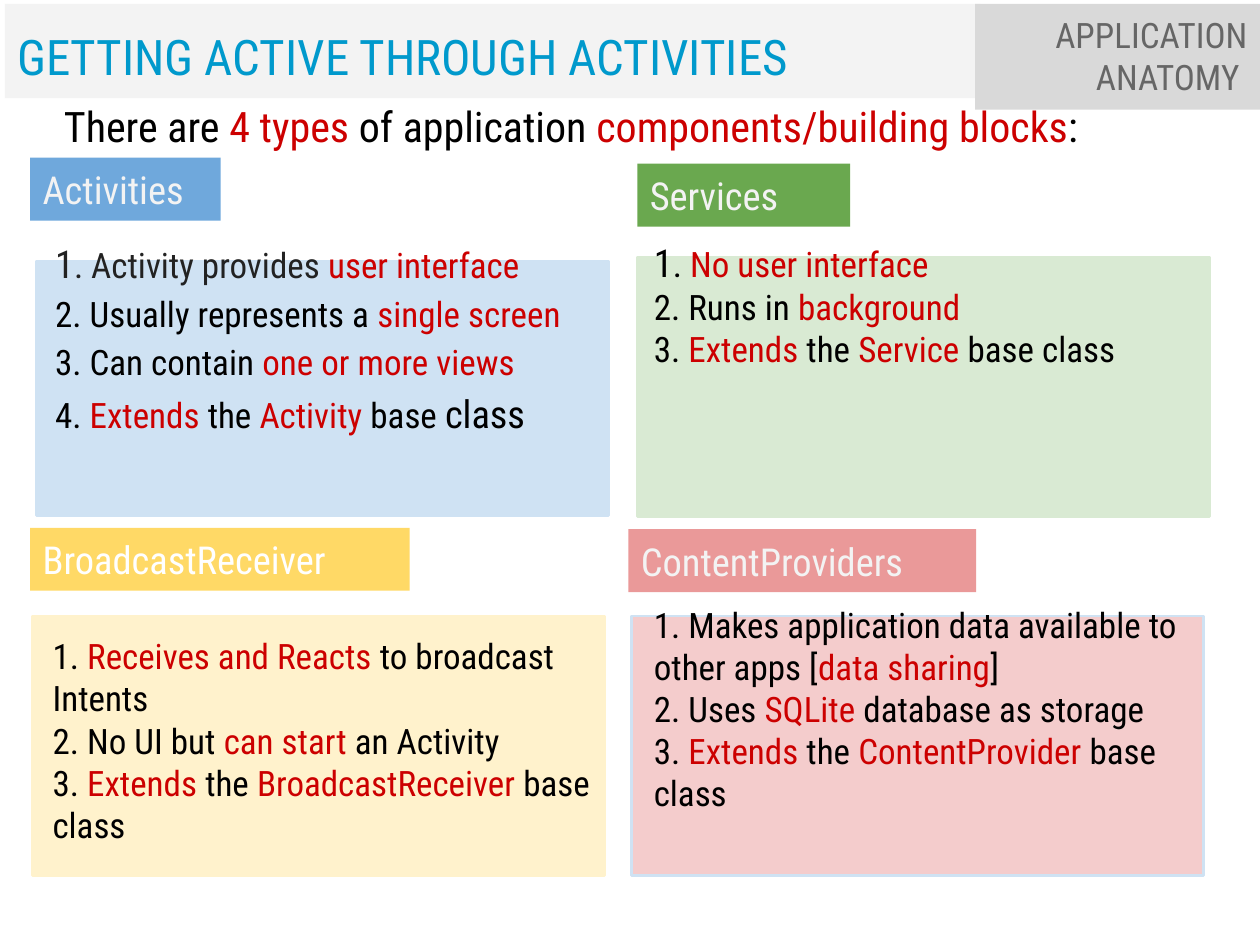
from pptx import Presentation
from pptx.dml.color import RGBColor
from pptx.enum.shapes import MSO_SHAPE as Preset
from pptx.enum.text import MSO_ANCHOR as Anchor, MSO_AUTO_SIZE as AutoSize, PP_ALIGN as Align
from pptx.oxml.ns import qn
from pptx.util import Cm, Pt

# Theme: each run style is (colour, size in points)
THEME = {
    "font": "Roboto Condensed",
    "inset": 0.25,
    "title_fill": "F3F3F3",
    "section_fill": "D9D9D9",
    "styles": {
        "title": ("0099CC", 28),
        "section": ("666666", 20),
        "intro": ("000000", 24),
        "intro key": ("CC0000", 24),
        "label": ("F3F3F3", 22),
        "white label": ("FFFFFF", 22),
        "body": ("000000", 20),
        "key": ("CC0000", 20),
        "large": ("000000", 22),
        "soft": ("222222", 20),
        "soft large": ("222222", 22),
    },
}


def key(text):
    return text, "key"


def extends(class_name, *ending):
    return [key("Extends "), "the ", key(class_name + " "), *ending]


# Content: a run is a plain string (body style) or a (text, style) pair
TITLE = [("GETTING ACTIVE THROUGH ACTIVITIES", "title")]
SECTION = [("APPLICATION ANATOMY ", "section")]
INTRO = [
    ("There are ", "intro"), ("4 types", "intro key"), (" of application ", "intro"),
    ("components/building blocks", "intro key"), (":", "intro"),
]

# Boxes are left, top, width, height in centimetres
TITLE_BOX = (0.1, 0.08, 19.66, 1.9)
SECTION_BOX = (19.66, 0.08, 5.74, 2.13)
INTRO_BOX = (1.04, 1.9, 24.36, 1.27)
PANEL_WIDTH, LABEL_HEIGHT = 11.53, 1.27

COMPONENTS = [
    {
        "label": ("Activities", "label"), "label_at": (0.61, 3.18), "label_width": 3.84,
        "panel_at": (0.74, 5.26), "panel_height": 5.13,
        "list_at": (0.86, 4.45), "list_height": 5.92, "spacing": 1.15,
        "colours": ("6FA8DC", "CFE2F3", "CFE2F3"),
        "items": [
            [("1", "soft large"), (". Activity provides ", "soft"), key("user interface")],
            ["2. Usually represents a ", key("single screen")],
            ["3. Can contain ", key("one or more views")],
            ["4. ", *extends("Activity", "base ", ("class", "large"))],
        ],
    },
    {
        "label": ("Services", "label"), "label_at": (12.85, 3.3), "label_width": 4.29,
        "panel_at": (12.85, 5.18), "panel_height": 5.23,
        "list_at": (12.93, 4.57), "list_height": 5.23, "spacing": 1.0,
        "colours": ("6AA84F", "D9EAD3", "D9EAD3"),
        "items": [
            [("1", "large"), ". ", key("No user interface")],
            ["2. Runs in ", key("background")],
            ["3. ", *extends("Service", "base class")],
        ],
    },
    {
        "label": ("BroadcastReceiver", "white label"), "label_at": (0.61, 10.64),
        "label_width": 7.65,
        "panel_at": (0.66, 12.42), "panel_height": 5.23,
        "list_at": (0.81, 12.55), "list_height": 5.44, "spacing": 1.0,
        "colours": ("FFD966", "FFF2CC", "FFF2CC"),
        "items": [
            ["1. ", key("Receives and Reacts"), " to broadcast Intents"],
            ["2. No UI but ", key("can start"), " an Activity"],
            ["3. ", *extends("BroadcastReceiver", "base class")],
        ],
    },
    {
        "label": ("ContentProviders", "label"), "label_at": (12.67, 10.67), "label_width": 7.01,
        "panel_at": (12.73, 12.42), "panel_height": 5.23,
        "list_at": (12.93, 11.91), "list_height": 5.44, "spacing": 1.0,
        "colours": ("EA9999", "F4CCCC", "CFE2F3"),
        "items": [
            ["1. Makes application data available to other apps [", key("data sharing"), "]"],
            ["2. Uses ", key("SQLite "), "database as storage"],
            ["3. ", *extends("ContentProvider", "base class")],
        ],
    },
]


def place(shape, box):
    shape.left, shape.top, shape.width, shape.height = map(Cm, box)


def fill_shape(shape, colour):
    shape.fill.solid()
    shape.fill.fore_color.rgb = RGBColor.from_string(colour)


def add_rectangle(slide, box, fill, line=None):
    shape = slide.shapes.add_shape(Preset.RECTANGLE, *map(Cm, box))
    shape.shadow.inherit = False
    fill_shape(shape, fill)
    if line:
        shape.line.color.rgb = RGBColor.from_string(line)
        shape.line.width = Pt(1.5)
    else:
        shape.line.fill.background()
    return shape


def write(shape, paragraphs, anchor, align=Align.LEFT, spacing=1.0):
    frame = shape.text_frame
    frame.word_wrap = True
    frame.auto_size = AutoSize.NONE
    frame.vertical_anchor = anchor
    inset = Cm(THEME["inset"])
    frame.margin_left = frame.margin_right = frame.margin_top = frame.margin_bottom = inset
    for index, runs in enumerate(paragraphs):
        paragraph = frame.add_paragraph() if index else frame.paragraphs[0]
        paragraph.alignment = align
        paragraph.line_spacing = spacing
        paragraph.space_before = Pt(0)
        if shape.is_placeholder:
            properties = paragraph._p.get_or_add_pPr()
            properties.set("marL", "0")
            properties.set("indent", "0")
            properties.append(properties.makeelement(qn("a:buNone"), {}))
        for item in runs:
            text, style = (item, "body") if isinstance(item, str) else item
            colour, size = THEME["styles"][style]
            run = paragraph.add_run()
            run.text = text
            run.font.name = THEME["font"]
            run.font.size = Pt(size)
            run.font.bold = False
            run.font.color.rgb = RGBColor.from_string(colour)


def add_component(slide, component, placeholder):
    label_fill, panel_fill, panel_line = component["colours"]
    panel_box = (*component["panel_at"], PANEL_WIDTH, component["panel_height"])
    add_rectangle(slide, panel_box, panel_fill, panel_line)

    label_box = (*component["label_at"], component["label_width"], LABEL_HEIGHT)
    label = add_rectangle(slide, label_box, label_fill)
    write(label, [[component["label"]]], Anchor.MIDDLE)

    # The list lies in front of its panel
    slide.shapes.element.append(placeholder.element)
    place(placeholder, (*component["list_at"], PANEL_WIDTH, component["list_height"]))
    write(placeholder, component["items"], Anchor.TOP, spacing=component["spacing"])


def main():
    presentation = Presentation()
    presentation.slide_width, presentation.slide_height = Cm(25.4), Cm(19.05)
    slide = presentation.slides.add_slide(presentation.slide_layouts.get_by_name("Comparison"))
    lists = [shape for shape in slide.placeholders if 1 <= shape.placeholder_format.idx <= 4]

    # Header
    title = slide.shapes.title
    place(title, TITLE_BOX)
    fill_shape(title, THEME["title_fill"])
    write(title, [TITLE], Anchor.BOTTOM)
    section = add_rectangle(slide, SECTION_BOX, THEME["section_fill"])
    write(section, [SECTION], Anchor.BOTTOM, Align.RIGHT)

    # Introduction
    intro = slide.shapes.add_textbox(*map(Cm, INTRO_BOX))
    write(intro, [INTRO], Anchor.MIDDLE)

    # Four components
    for component, placeholder in zip(COMPONENTS, lists):
        add_component(slide, component, placeholder)

    presentation.save("out.pptx")


if __name__ == "__main__":
    main()
